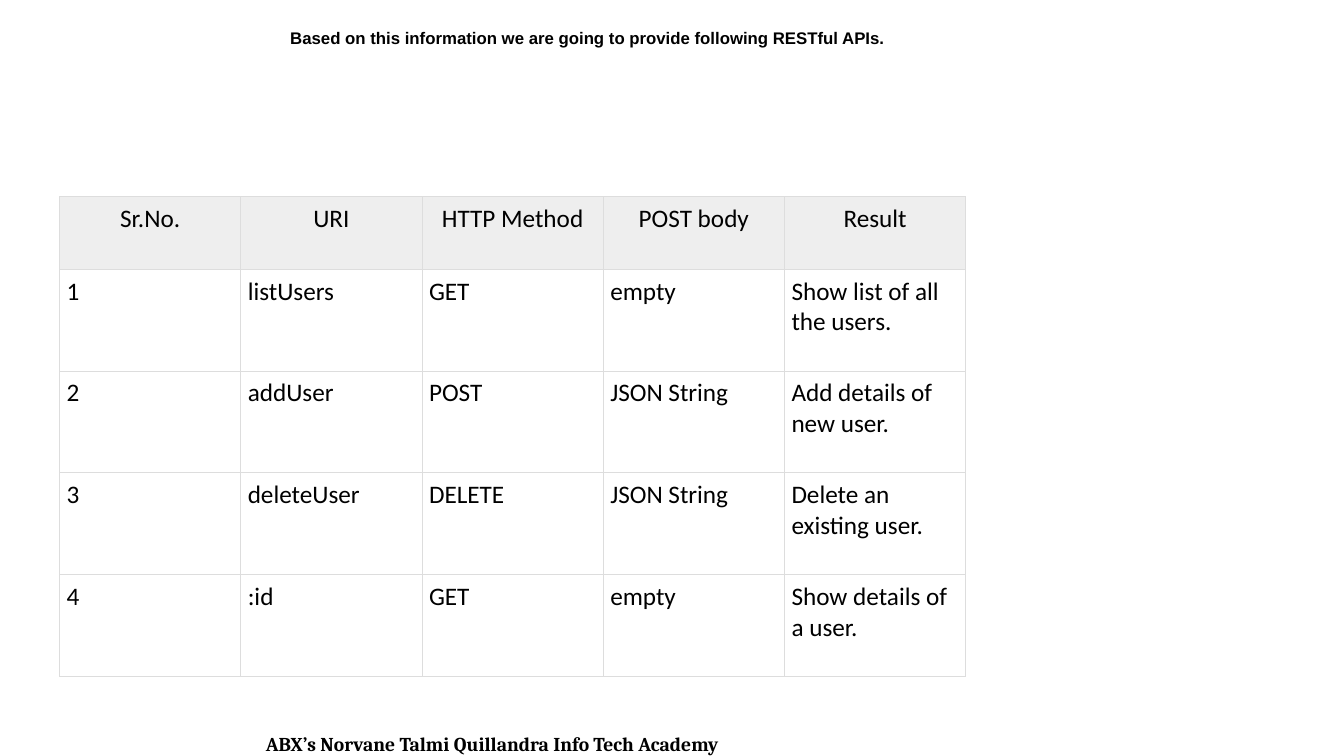
from lxml import etree
from pptx import Presentation
from pptx.dml.color import RGBColor
from pptx.enum.text import MSO_ANCHOR as Anchor, PP_ALIGN as Align
from pptx.oxml.ns import qn
from pptx.util import Inches, Pt

ROWS = [
    ("Sr.No.", "URI", "HTTP Method", "POST body", "Result"),
    ("1", "listUsers", "GET", "empty", "Show list of all the users."),
    ("2", "addUser", "POST", "JSON String", "Add details of new user."),
    ("3", "deleteUser", "DELETE", "JSON String", "Delete an existing user."),
    ("4", ":id", "GET", "empty", "Show details of a user."),
]


def color(code):
    return RGBColor.from_string(code)


def style(para, face, size, align, bold=False):
    para.alignment = align
    font = para.font
    font.name, font.size, font.bold = face, Pt(size), bold
    font.color.rgb = color("000000")


def add_text(slide, box, text, face, size, align, anchor=Anchor.TOP):
    frame = slide.shapes.add_textbox(*map(Inches, box)).text_frame
    frame.word_wrap = True
    frame.vertical_anchor = anchor
    frame.text = text
    style(frame.paragraphs[0], face, size, align, bold=True)


def add_border(cell, code, width):
    """Draw all four sides; the line elements must come before the fill."""
    props = cell._tc.get_or_add_tcPr()
    for i, side in enumerate(("lnL", "lnR", "lnT", "lnB")):
        line = etree.Element(qn("a:" + side), w=str(Pt(width)))
        fill = etree.SubElement(line, qn("a:solidFill"))
        etree.SubElement(fill, qn("a:srgbClr"), val=code)
        props.insert(i, line)


def add_grid(slide, box, head, rows):
    """Table with a header row of height head and equal rows below."""
    left, top, width, height = box
    table = slide.shapes.add_table(
        len(rows), len(rows[0]), *map(Inches, box)).table
    table.first_row = table.horz_banding = False
    for col in table.columns:
        col.width = Inches(width / len(rows[0]))
    for r, texts in enumerate(rows):
        table.rows[r].height = Inches(
            (height - head) / (len(rows) - 1) if r else head)
        for c, text in enumerate(texts):
            cell = table.cell(r, c)
            cell.margin_left = cell.margin_right = Inches(0.07)
            cell.margin_top = cell.margin_bottom = Inches(0.07)
            cell.text = text
            style(cell.text_frame.paragraphs[0], "Calibri", 18,
                  Align.LEFT if r else Align.CENTER)
            if r:
                cell.fill.background()
            else:
                cell.fill.solid()
                cell.fill.fore_color.rgb = color("EEEEEE")
            add_border(cell, "DDDDDD", 0.6)


def main():
    deck = Presentation()
    deck.slide_width, deck.slide_height = Inches(13.33), Inches(7.5)
    slide = deck.slides.add_slide(deck.slide_layouts[6])
    add_text(slide, (0.25, 7.21, 9.31, 0.34),
             "ABX’s Norvane Talmi Quillandra Info Tech Academy ",
             "Cambria", 14, Align.CENTER)
    add_grid(slide, (0.59, 1.95, 8.99, 4.76), 0.72, ROWS)
    add_text(slide, (2.78, 0.23, 9.08, 0.3),
             "Based on this information we are going to provide "
             "following RESTful APIs.",
             "Arial", 12, Align.JUSTIFY, Anchor.MIDDLE)
    deck.save("out.pptx")


if __name__ == "__main__":
    main()
